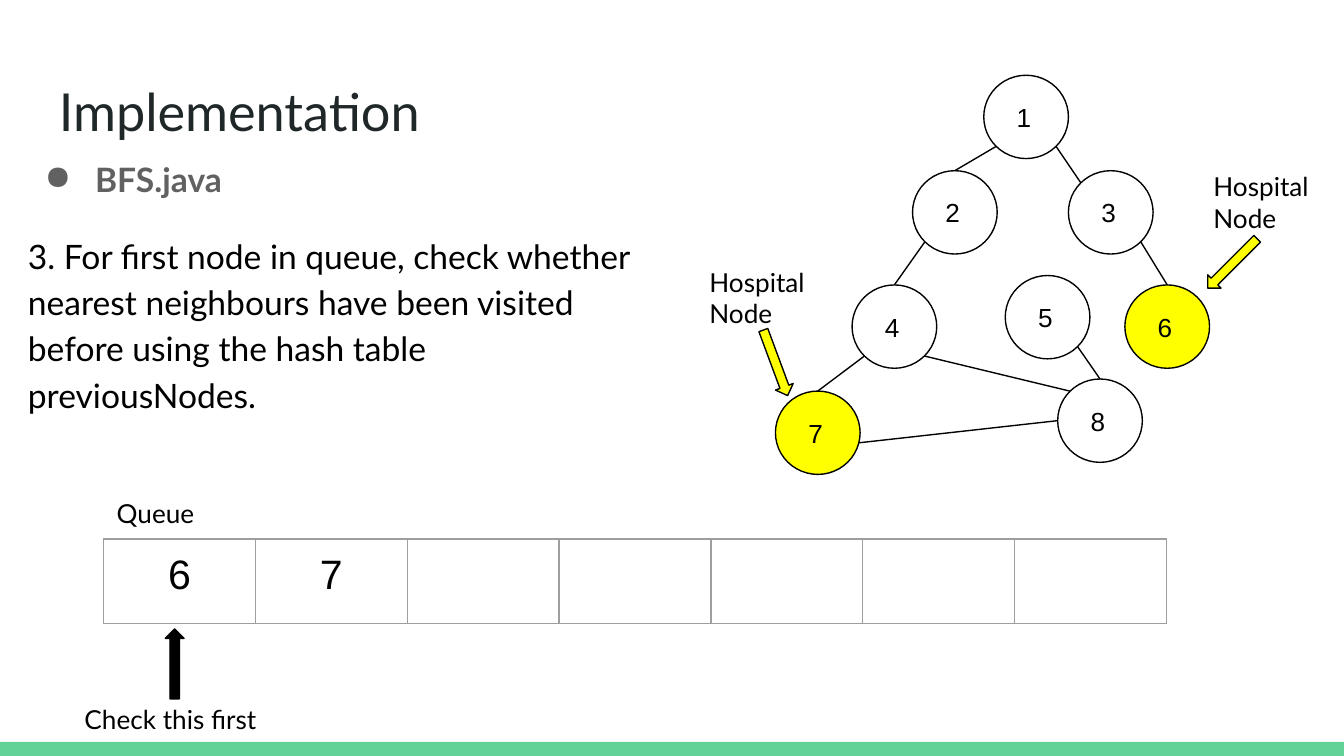
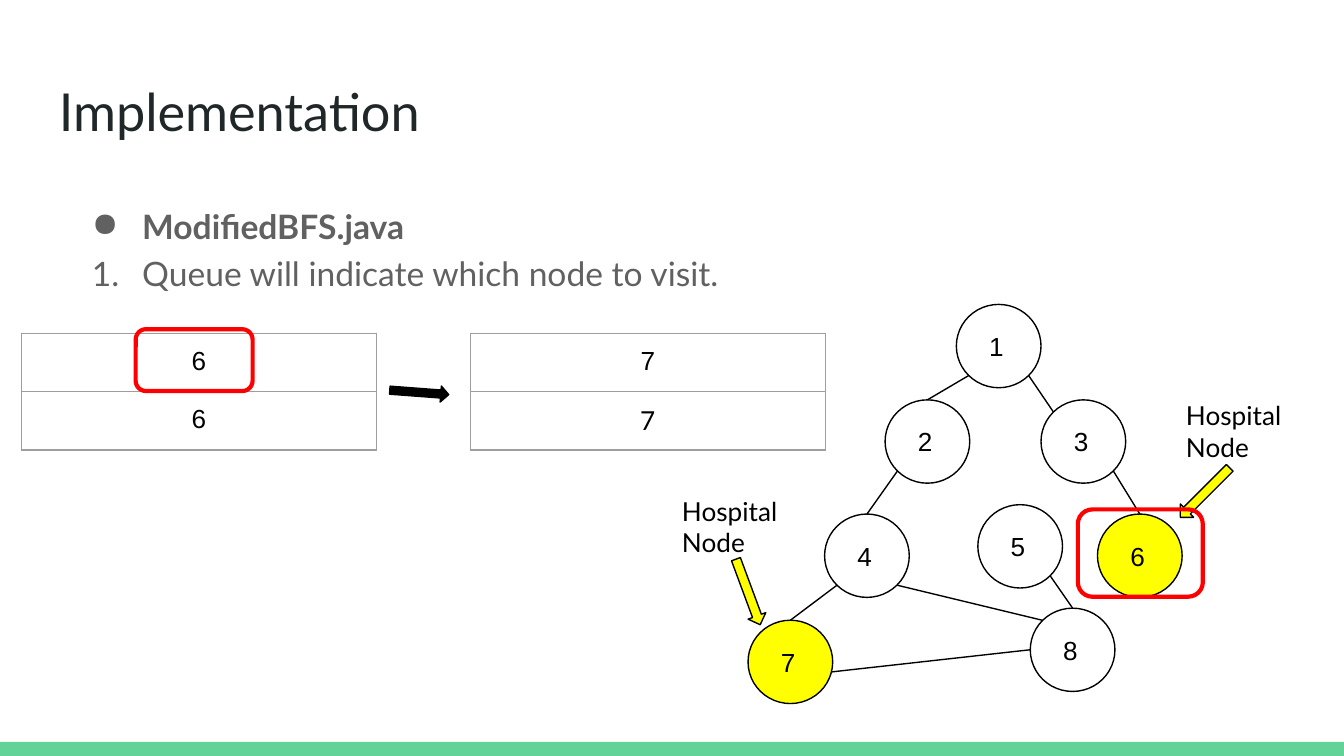
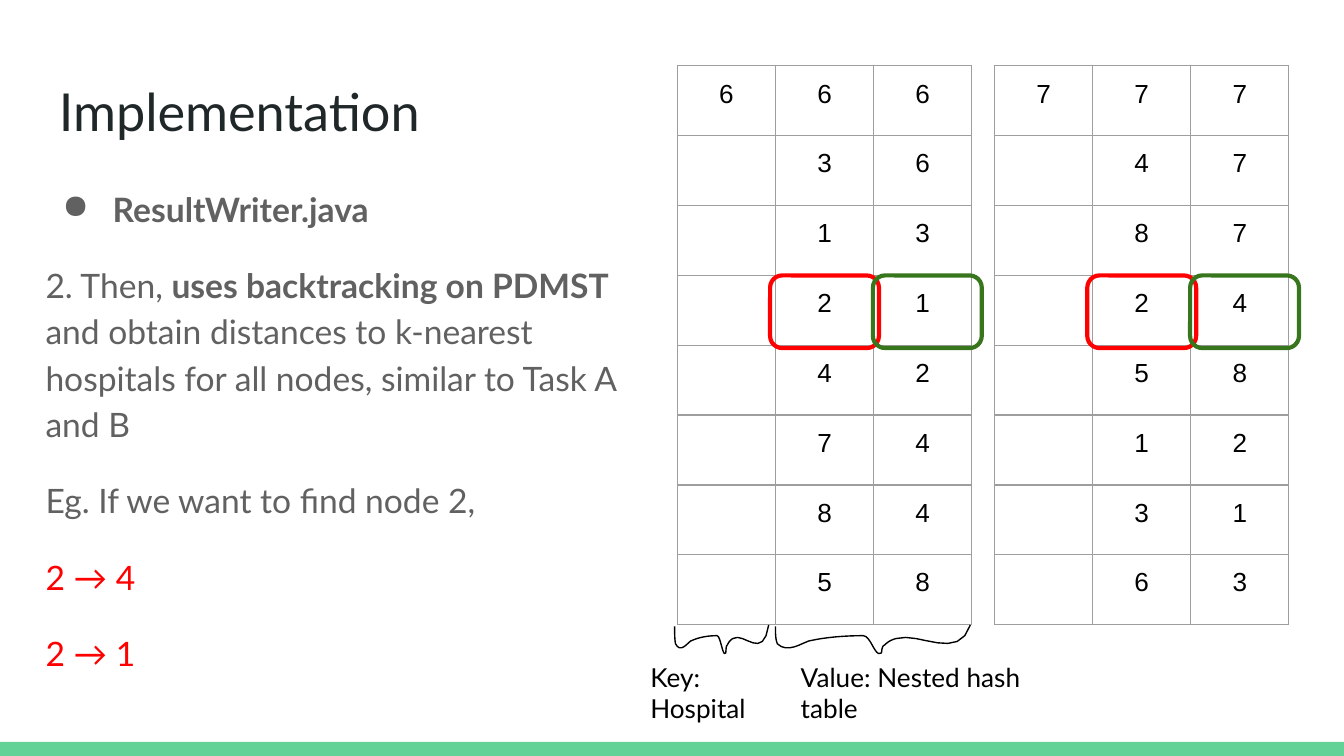
import dataclasses
import math

import lxml.etree
import pptx
import pptx.dml.color
import pptx.enum.shapes
import pptx.enum.text
import pptx.oxml
import pptx.oxml.ns
import pptx.util

COLUMNS, ROWS = 100, 56.25
BLACK, RED, GREEN, YELLOW = "000000", "FF0000", "38761D", "FFFF00"
TITLE_COLOR, BODY_COLOR = "202729", "616161"
BAND_COLOR, BORDER_COLOR = "63D297", "9E9E9E"
SHAPES = pptx.enum.shapes.MSO_SHAPE

NODE_WIDTH, NODE_HEIGHT = 6.3, 6.2
NODES = {
    1: (21.4, 0), 2: (16.1, 7.1), 3: (27.7, 7.1), 4: (11.6, 15.6),
    6: (31.9, 15.6), 5: (23, 14.9), 7: (5.9, 23.5), 8: (26.9, 22.6),
}
HOSPITALS = (6, 7)
EDGES = [
    (2, 135, 4, 270), (4, 135, 7, 270), (8, 180, 7, 14), (3, 45, 6, 270),
    (1, 45, 3, 225), (5, 45, 8, 270), (1, 135, 2, 270), (8, 225, 4, 45),
]
HOSPITAL_ARROWS = [(5.2, 18.8, 159.7), (39.2, 11.4, 225)]
HOSPITAL_LABELS = [(0, 13.2), (37.5, 6.1)]

BRACE_START = (0, 0.05)
BRACE_CURVES = [
    ((0, 0.29), (0, 0.52), (0.01, 0.67)),
    ((0.06, 1), (0.13, 0.67), (0.17, 0.57)),
    ((0.26, 0.43), (0.36, 0.38), (0.45, 0.38)),
    ((0.49, 0.38), (0.51, 1.14), (0.54, 1)),
    ((0.55, 1), (0.54, 0.76), (0.56, 0.71)),
    ((0.58, 0.57), (0.6, 0.52), (0.62, 0.48)),
    ((0.74, 0.24), (0.94, 1.29), (1, 0)),
]
CURVE_STEPS = 8


@dataclasses.dataclass
class Line:
    pieces: tuple
    bold_piece: int = -1
    bullet: str = ""
    color: str = BODY_COLOR
    before: int = 0
    after: int = 0


def color(value):
    return pptx.dml.color.RGBColor.from_string(value)


def qualified(name):
    return pptx.oxml.ns.qn(name)


def heading(text):
    return Line((text,), bold_piece=0, bullet="●")


def rim(node, degrees):
    left, top = NODES[node]
    angle = math.radians(degrees)
    return (left + NODE_WIDTH / 2 * (1 + math.cos(angle)),
            top + NODE_HEIGHT / 2 * (1 + math.sin(angle)))


def brace_points():
    points, start = [BRACE_START], BRACE_START
    for first, second, end in BRACE_CURVES:
        for step in range(1, CURVE_STEPS + 1):
            t = step / CURVE_STEPS
            weights = ((1 - t) ** 3, 3 * t * (1 - t) ** 2, 3 * t * t * (1 - t), t ** 3)
            corners = (start, first, second, end)
            points.append(tuple(sum(weight * corner[axis] for weight, corner in zip(weights, corners))
                                for axis in (0, 1)))
        start = end
    return points


class Deck:
    def __init__(self):
        self.presentation = pptx.Presentation()
        self.presentation.slide_width = pptx.util.Inches(10)
        self.presentation.slide_height = pptx.util.Inches(5.625)
        self.slide = None

    def across(self, columns):
        return round(self.presentation.slide_width * columns / COLUMNS)

    def down(self, rows):
        return round(self.presentation.slide_height * rows / ROWS)

    def box(self, left, top, width, height):
        return self.across(left), self.down(top), self.across(width), self.down(height)

    def add_slide(self, title_width):
        self.slide = self.presentation.slides.add_slide(self.presentation.slide_layouts[6])
        self.shape(SHAPES.RECTANGLE, (0, 55.2, COLUMNS, 1.05), BAND_COLOR, None)
        self.label("Implementation", (3.4, 4.9, title_width, 6.3), 28, TITLE_COLOR)

    def style_runs(self, paragraph, size, text_color=BLACK, font="Lato"):
        for run in paragraph.runs:
            run.font.size = pptx.util.Pt(size)
            run.font.name = font
            run.font.color.rgb = color(text_color)

    def set_insets(self, holder):
        holder.margin_left = holder.margin_right = self.across(1)
        holder.margin_top = holder.margin_bottom = self.down(1)

    def outline(self, line, line_color, width=0.75):
        if line_color is None:
            line.fill.background()
        else:
            line.color.rgb = color(line_color)
            line.width = pptx.util.Pt(width)

    def text_box(self, box):
        text_frame = self.slide.shapes.add_textbox(*self.box(*box)).text_frame
        text_frame.word_wrap = True
        self.set_insets(text_frame)
        return text_frame

    def label(self, text, box, size=14, text_color=BLACK):
        text_frame = self.text_box(box)
        text_frame.text = text
        for paragraph in text_frame.paragraphs:
            self.style_runs(paragraph, size, text_color)

    def body(self, box, lines):
        text_frame = self.text_box(box)
        for index, line in enumerate(lines):
            paragraph = text_frame.add_paragraph() if index else text_frame.paragraphs[0]
            paragraph.text = line.pieces[0]
            for piece in line.pieces[1:]:
                paragraph.add_run().text = piece
            self.style_runs(paragraph, 18, line.color)
            for number, run in enumerate(paragraph.runs):
                run.font.bold = number == line.bold_piece
            paragraph.line_spacing = 1.15
            paragraph.space_before = pptx.util.Pt(line.before)
            paragraph.space_after = pptx.util.Pt(line.after)
            if line.bullet:
                self.bullet(paragraph, line)

    def bullet(self, paragraph, line):
        properties = paragraph._p.get_or_add_pPr()
        properties.set("marL", str(self.across(5)))
        properties.set("indent", str(self.across(-3.75)))
        bullet_color = lxml.etree.SubElement(properties, qualified("a:buClr"))
        lxml.etree.SubElement(bullet_color, qualified("a:srgbClr"), val=line.color)
        if line.bullet == "1.":
            lxml.etree.SubElement(properties, qualified("a:buAutoNum"), type="arabicPeriod")
        else:
            lxml.etree.SubElement(properties, qualified("a:buChar"), char=line.bullet)

    def shape(self, kind, box, fill=None, line_color=BLACK, line_width=0.75, rotation=0):
        shape = self.slide.shapes.add_shape(kind, *self.box(*box))
        shape.shadow.inherit = False
        shape.rotation = rotation
        if fill:
            shape.fill.solid()
            shape.fill.fore_color.rgb = color(fill)
        else:
            shape.fill.background()
        self.outline(shape.line, line_color, line_width)
        return shape

    def arrow(self, box, fill=BLACK, rotation=0):
        self.shape(SHAPES.UP_ARROW, box, fill, rotation=rotation)

    def highlight(self, box, line_color=RED):
        self.shape(SHAPES.ROUNDED_RECTANGLE, box, None, line_color, 2.25)

    def connector(self, start, end):
        connector = self.slide.shapes.add_connector(
            pptx.enum.shapes.MSO_CONNECTOR.STRAIGHT,
            self.across(start[0]), self.down(start[1]), self.across(end[0]), self.down(end[1]))
        self.outline(connector.line, BLACK)
        lxml.etree.SubElement(connector._element.spPr, qualified("a:effectLst"))

    def brace(self, left, top, width, height):
        points = [(self.across(left + x * width), self.down(top + y * height))
                  for x, y in brace_points()]
        builder = self.slide.shapes.build_freeform(*points[0])
        builder.add_line_segments(points[1:], close=False)
        shape = builder.convert_to_shape()
        shape.shadow.inherit = False
        shape.fill.background()
        self.outline(shape.line, BLACK)

    def table(self, left, top, column_width, row_height, values, size=14):
        row_count, column_count = len(values), len(values[0])
        frame = self.slide.shapes.add_table(row_count, column_count, *self.box(
            left, top, column_width * column_count, row_height * row_count))
        table = frame.table
        table.first_row = table.horz_banding = False
        for column in table.columns:
            column.width = self.across(column_width)
        for row, row_values in zip(table.rows, values):
            row.height = self.down(row_height)
            for cell, value in zip(row.cells, row_values):
                self.cell(cell, value, size)
        return table

    def cell(self, cell, value, size):
        cell.text_frame.text = value
        self.set_insets(cell)
        paragraph = cell.text_frame.paragraphs[0]
        paragraph.alignment = pptx.enum.text.PP_ALIGN.CENTER
        self.style_runs(paragraph, size, font="Arial")
        properties = cell._tc.get_or_add_tcPr()
        for side in ("a:lnL", "a:lnR", "a:lnT", "a:lnB"):
            border = lxml.etree.SubElement(properties, qualified(side), w=str(pptx.util.Pt(0.75)))
            fill = lxml.etree.SubElement(border, qualified("a:solidFill"))
            lxml.etree.SubElement(fill, qualified("a:srgbClr"), val=BORDER_COLOR)
        cell.fill.background()

    def node(self, number, left, top):
        shape = self.shape(SHAPES.OVAL, (left, top, NODE_WIDTH, NODE_HEIGHT),
                           YELLOW if number in HOSPITALS else None)
        text_frame = shape.text_frame
        text_frame.text = f" {number}"
        text_frame.vertical_anchor = pptx.enum.text.MSO_ANCHOR.MIDDLE
        self.set_insets(text_frame)
        paragraph = text_frame.paragraphs[0]
        paragraph.alignment = pptx.enum.text.PP_ALIGN.LEFT
        self.style_runs(paragraph, 14, font="Arial")

    def graph(self, left, top):
        for number, (x, y) in NODES.items():
            self.node(number, left + x, top + y)
        for first, first_angle, second, second_angle in EDGES:
            ends = [(left + x, top + y)
                    for x, y in (rim(first, first_angle), rim(second, second_angle))]
            self.connector(*ends)
        for x, y, rotation in HOSPITAL_ARROWS:
            self.arrow((left + x, top + y, 1.4, 5.2), YELLOW, rotation)
        for x, y in HOSPITAL_LABELS:
            self.label("Hospital\nNode", (left + x, top + y, 9.3, 3.1))


def build_queue_slide(deck):
    deck.add_slide(34.8)
    deck.body((1.1, 10.4, 48.3, 23), [
        heading("BFS.java"),
        Line(("3. For first node in queue, check whether nearest neighbours have been "
              "visited before using the hash table previousNodes.",), color=BLACK, before=16),
    ])
    deck.table(7.7, 40.1, 11.3, 6.3, [["6", "7", "", "", "", "", ""]], 22)
    deck.label("Queue", (7.7, 36, 24.5, 3.1))
    deck.arrow((12.3, 46.8, 1.4, 5.2))
    deck.graph(51.8, 5.6)
    deck.label("Check this first", (5.3, 51.3, 19.5, 3.9))


def build_visit_slide(deck):
    deck.add_slide(93.2)
    deck.body((4.6, 13.9, 93.2, 8.4), [
        heading("ModifiedBFS.java"),
        Line(("Queue will indicate which node to visit.",), bullet="1."),
    ])
    deck.graph(49.76, 22.65)
    deck.highlight((80.2, 37.9, 9.3, 6.5))
    deck.table(1.6, 24.8, 26.4, 4.2, [["6"], ["6"]])
    deck.arrow((30.6, 27, 1.2, 4.4), rotation=94.3)
    next_table = deck.table(35, 24.8, 26.4, 4.2, [["7"], ["7"]])
    deck.style_runs(next_table.cell(1, 0).text_frame.paragraphs[0], 14)
    deck.highlight((10.1, 24.5, 8.7, 4.6))


def build_backtracking_slide(deck):
    deck.add_slide(33.5)
    deck.body((2.4, 12.6, 47.8, 40.8), [
        heading("ResultWriter.java"),
        Line(("2. Then, ", "uses backtracking on PDMST ",
              "and obtain distances to k-nearest hospitals for all nodes, similar to Task A and B"),
             bold_piece=1, before=16),
        Line(("Eg. If we want to find node 2,",), before=16),
        Line(("2 → 4",), color=RED, before=16),
        Line(("2 → 1",), color=RED, before=16, after=16),
    ])
    hash_tables = [
        (50.4, "6", ["66", "36", "13", "21", "42", "74", "84", "58"]),
        (74, "7", ["77", "47", "87", "24", "58", "12", "31", "63"]),
    ]
    for left, hospital, pairs in hash_tables:
        values = [["" if index else hospital, *pair] for index, pair in enumerate(pairs)]
        deck.table(left, 4.9, 7.3, 5.2, values)
        deck.highlight((left + 6.9, 20.5, 8.1, 5.4))
        deck.highlight((left + 14.55, 20.5, 8.1, 5.4), GREEN)
    for left, width in ((50.2, 7), (57.7, 14.5)):
        deck.brace(left, 46.5, width, 2.1)
    deck.label("Key: Hospital", (47.4, 48.2, 9.8, 4))
    deck.label("Value: Nested hash table", (58.6, 48.2, 19.6, 2.8))


def main():
    deck = Deck()
    build_queue_slide(deck)
    build_visit_slide(deck)
    build_backtracking_slide(deck)
    deck.presentation.save("out.pptx")


if __name__ == "__main__":
    main()
